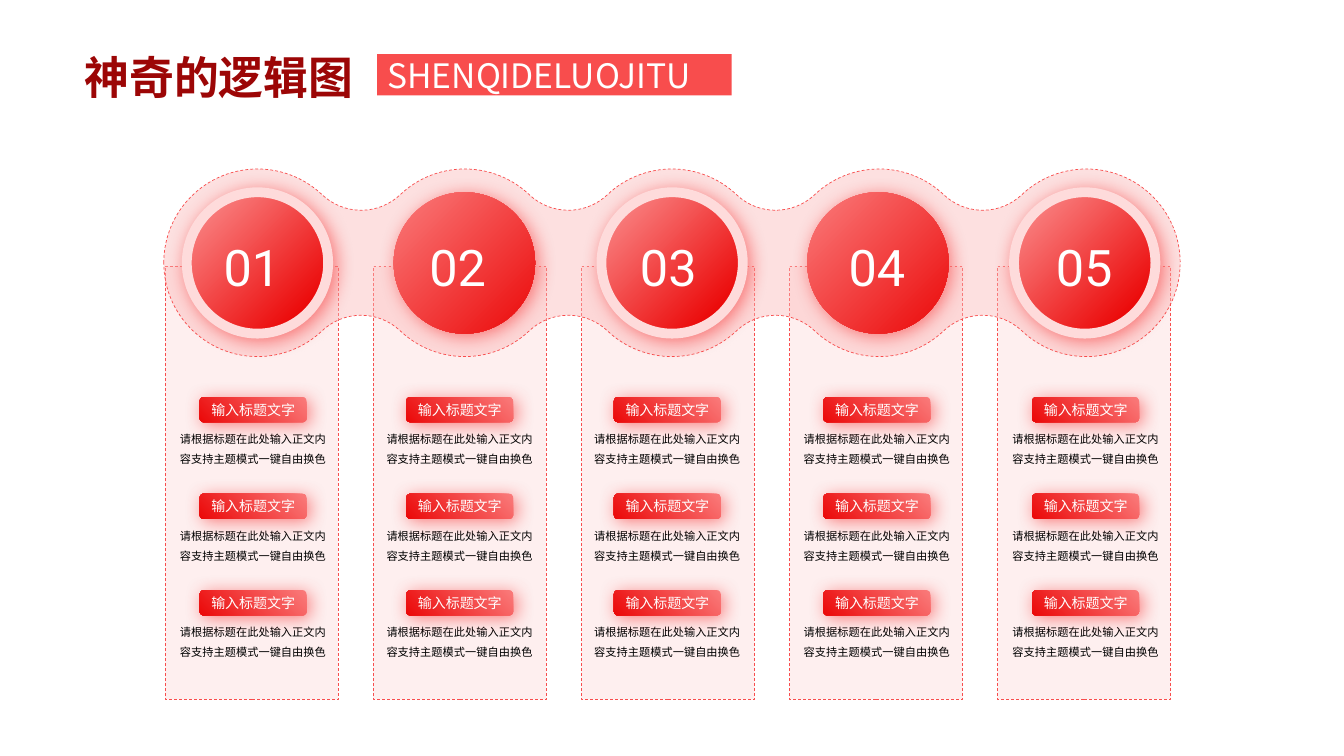
from math import atan2, cos, degrees, radians, sin, tan

from lxml import etree
from pptx import Presentation
from pptx.dml.color import RGBColor
from pptx.enum.dml import MSO_LINE
from pptx.enum.shapes import MSO_SHAPE
from pptx.enum.text import MSO_ANCHOR, MSO_AUTO_SIZE, PP_ALIGN
from pptx.oxml.ns import qn
from pptx.util import Pt

RECT, ROUND, OVAL = MSO_SHAPE.RECTANGLE, MSO_SHAPE.ROUNDED_RECTANGLE, MSO_SHAPE.OVAL
LEFT, CENTER, JUSTIFY = PP_ALIGN.LEFT, PP_ALIGN.CENTER, PP_ALIGN.JUSTIFY
TOP, MIDDLE = MSO_ANCHOR.TOP, MSO_ANCHOR.MIDDLE
DASH = MSO_LINE.DASH
FIT = MSO_AUTO_SIZE.SHAPE_TO_FIT_TEXT

TITLE = "神奇的逻辑图"
SUBTITLE = "SHENQIDELUOJITU"
ITEM_TITLE = "输入标题文字"
ITEM_BODY = "请根据标题在此处输入正文内容支持主题模式一键自由换色"
# number, left of disc, centre of number, left of item labels
COLUMNS = [
    ("01", 133.4, 180, 142.6),
    ("02", 281.2, 326.9, 290.2),
    ("03", 429.6, 477.4, 438.5),
    ("04", 576.6, 626.4, 588.2),
    ("05", 724.3, 774.4, 737.3),
]
ITEM_ROWS = 3

COLORS = {
    "accent": "F84D4D", "deep": "EB0909", "light": "FB9494", "mid": "FA7B7B",
    "title": "9C0606", "panel": "FEDBDB", "wave": "FCB8B8",
    "white": "FFFFFF", "black": "000000",
}
SANS, SANS_TITLE, DIGITS = "Noto Sans CJK JP", "Noto Sans CJK SC", "Roboto"

PANEL_LEFT, PANEL_TOP, PANEL_PITCH = 118, 190.2, 148.6
PANEL_WIDTH, PANEL_HEIGHT = 123.8, 309.4
DISC_TOP, DISC_SIZE = 137.3, 101
ITEM_TOP, ITEM_PITCH = 283.6, 69
LABEL_WIDTH, LABEL_HEIGHT = 76.4, 18
BODY_OFFSET, BODY_OUTSET = 20.9, 15.5
BODY_WIDTH, BODY_HEIGHT = 107.3, 28
WAVE_LEFT, WAVE_MIDDLE, WAVE_PITCH = 184, 187.7, 148
WAVE_RADIUS, NECK = 67, 37.5


def rgb(name):
    return RGBColor.from_string(COLORS[name])


def solid(shape, name, opacity=None):
    shape.fill.solid()
    shape.fill.fore_color.rgb = rgb(name)
    if opacity:
        color = shape.fill._xPr.find(qn("a:solidFill"))[0]
        etree.SubElement(color, qn("a:alpha"), val=str(opacity * 1000))


def gradient(fill, start, end, angle, end_at=1):
    fill.gradient()
    fill.gradient_angle = angle
    for stop, name, position in zip(fill.gradient_stops, (start, end), (0, end_at)):
        stop.color.rgb = rgb(name)
        stop.position = position


def outline(shape, name, width, dash=None):
    shape.line.color.rgb = rgb(name)
    shape.line.width = Pt(width)
    if dash:
        shape.line.dash_style = dash


def glow(shape):
    """Add the soft red shadow that falls to the lower right."""
    effects = shape._element.spPr.find(qn("a:effectLst"))
    shadow = etree.SubElement(effects, qn("a:outerShdw"), blurRad=str(Pt(13)),
                              dist=str(Pt(3)), dir="2700000", algn="tl", rotWithShape="0")
    color = etree.SubElement(shadow, qn("a:srgbClr"), val=COLORS["accent"])
    etree.SubElement(color, qn("a:alpha"), val="70000")


def add_plain(page, kind, *frame):
    """Add a preset shape with neither line nor shadow."""
    shape = page.shapes.add_shape(kind, *map(Pt, frame))
    shape.shadow.inherit = False
    shape.line.fill.background()
    return shape


def write(box, text, size, font, color, align=CENTER, anchor=MIDDLE):
    """Put one run in the box and return its paragraph and run."""
    box.text_frame.vertical_anchor = anchor
    para = box.text_frame.paragraphs[0]
    para.alignment = align
    span = para.add_run()
    span.text = text
    span.font.size = Pt(size)
    span.font.name = font
    span.font.color.rgb = rgb(color)
    etree.SubElement(span.font._element, qn("a:ea"), typeface=font)
    return para, span


def add_box(page, *frame, wrap=True):
    box = page.shapes.add_textbox(*map(Pt, frame))
    box.text_frame.word_wrap = wrap
    box.text_frame.auto_size = FIT
    return box


def arc_curves(x, y, radius, *angles):
    """Bezier curves (start, two controls, end) between angles on a circle."""
    curves = []
    for start, end in zip(angles, angles[1:]):
        a, b = radians(start), radians(end)
        pull = 4 / 3 * tan((b - a) / 4)
        units = [(cos(a), sin(a)), (cos(a) - pull * sin(a), sin(a) + pull * cos(a)),
                 (cos(b) + pull * sin(b), sin(b) - pull * cos(b)), (cos(b), sin(b))]
        curves.append([(x + radius * u, y - radius * v) for u, v in units])
    return curves


def wave_curves():
    """Equal circles joined by tangent arcs, mirrored about the middle line."""
    half = WAVE_PITCH / 2
    valley = (half ** 2 + NECK ** 2 - WAVE_RADIUS ** 2) / (2 * (WAVE_RADIUS - NECK))
    rise = NECK + valley
    tangent = degrees(atan2(rise, half))
    last = len(COLUMNS) - 1
    upper = []
    for i in range(last + 1):
        x = WAVE_LEFT + i * WAVE_PITCH
        start = 180 - tangent if i else 180
        end = tangent if i < last else 0
        upper += arc_curves(x, WAVE_MIDDLE, WAVE_RADIUS, start, 90, end)
        if i < last:
            upper += arc_curves(x + half, WAVE_MIDDLE - rise, valley,
                                180 + tangent, 270, 360 - tangent)
    lower = [[(x, 2 * WAVE_MIDDLE - y) for x, y in reversed(curve)]
             for curve in reversed(upper)]
    return upper + lower


def add_wave(page):
    curves = [[(Pt(x), Pt(y)) for x, y in curve] for curve in wave_curves()]
    builder = page.shapes.build_freeform(*curves[0][0])
    builder.add_line_segments([curve[-1] for curve in curves], close=True)
    wave = builder.convert_to_shape()
    segments = list(wave._element.iter(qn("a:lnTo")))
    for segment, curve in zip(segments, curves):
        segment.tag = qn("a:cubicBezTo")
        segment.clear()
        for x, y in curve[1:]:
            etree.SubElement(segment, qn("a:pt"), x=str(x - wave.left), y=str(y - wave.top))
    wave.shadow.inherit = False
    solid(wave, "wave", 43)
    outline(wave, "accent", 0.5, DASH)


def add_disc(page, left, ringed):
    disc = add_plain(page, OVAL, left, DISC_TOP, DISC_SIZE, DISC_SIZE)
    if ringed:
        gradient(disc.fill, "light", "deep", 315, 0.84)
        outline(disc, "panel", 7)
    else:
        gradient(disc.fill, "mid", "deep", 315)
    glow(disc)


def add_item(page, left, top):
    body = add_box(page, left - BODY_OUTSET, top + BODY_OFFSET, BODY_WIDTH, BODY_HEIGHT)
    frame = body.text_frame
    frame.margin_left = frame.margin_right = frame.margin_top = frame.margin_bottom = 0
    para, _ = write(body, ITEM_BODY, 8, SANS, "black")
    para.line_spacing = 1.5
    label = add_plain(page, ROUND, left, top, LABEL_WIDTH, LABEL_HEIGHT)
    gradient(label.fill, "mid", "deep", 225)
    glow(label)
    write(label, ITEM_TITLE, 10, SANS, "white")


def add_heading(page):
    title = add_box(page, 53.3, 31.7, 249.8, 46)
    _, span = write(title, TITLE, 32, SANS_TITLE, "title", LEFT, TOP)
    span.font.bold = True
    gradient(span.font.fill, "title", "accent", 135)
    solid(add_plain(page, RECT, 269.3, 38.6, 253.4, 29.5), "accent")
    subtitle = add_box(page, 269.7, 35.3, 253.4, 36)
    write(subtitle, SUBTITLE, 24, SANS, "white", JUSTIFY)


def main():
    deck = Presentation()
    deck.slide_width, deck.slide_height = Pt(960), Pt(540)
    page = deck.slides.add_slide(deck.slide_layouts[6])
    for i in range(len(COLUMNS)):
        panel = add_plain(page, RECT, PANEL_LEFT + i * PANEL_PITCH, PANEL_TOP,
                          PANEL_WIDTH, PANEL_HEIGHT)
        solid(panel, "panel", 43)
        outline(panel, "accent", 0.5, DASH)
    add_wave(page)
    for i, (number, disc_left, number_center, item_left) in enumerate(COLUMNS):
        add_disc(page, disc_left, ringed=i % 2 == 0)
        number_box = add_box(page, number_center - 32, 164.9, 64, 51, wrap=False)
        write(number_box, number, 36, DIGITS, "white", anchor=TOP)
        for row in range(ITEM_ROWS):
            add_item(page, item_left, ITEM_TOP + row * ITEM_PITCH)
    add_heading(page)
    deck.save("out.pptx")


if __name__ == "__main__":
    main()
